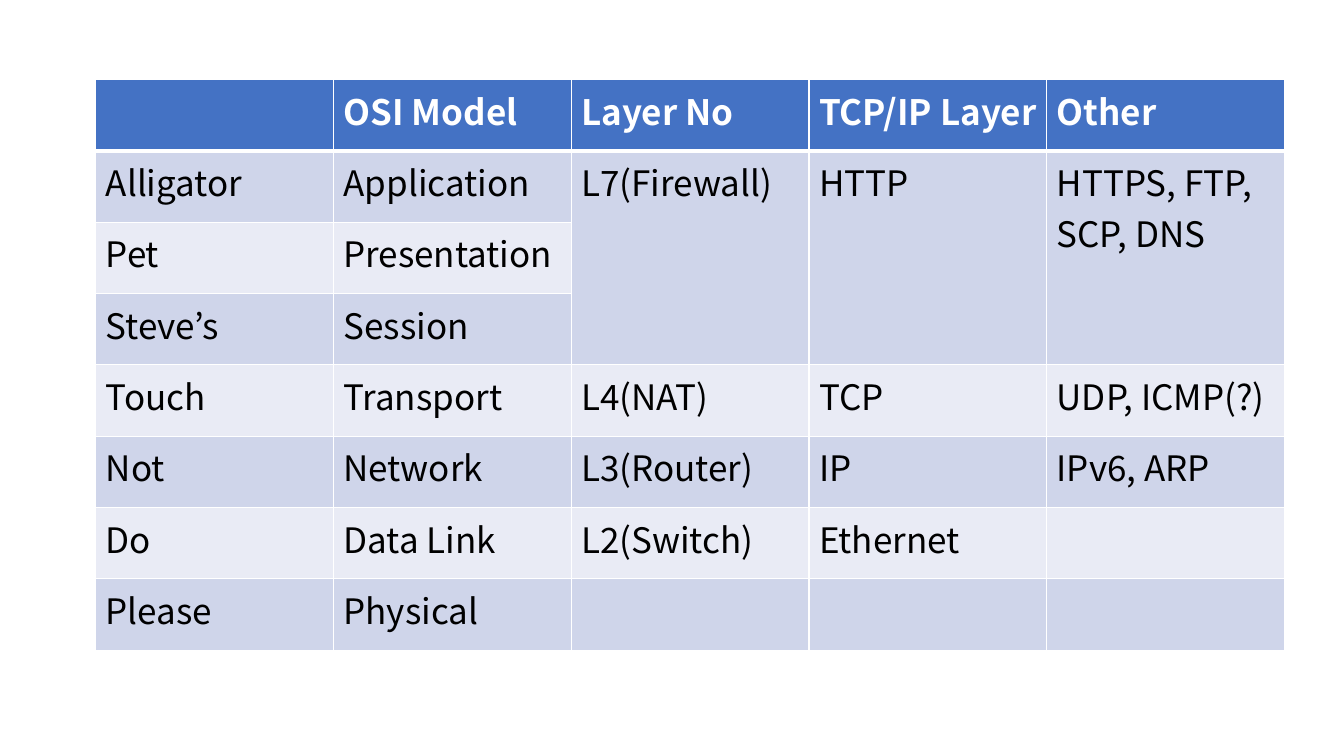
import lxml.etree
import pptx
import pptx.dml.color
import pptx.oxml.ns
import pptx.util

COLORS = {
    "header": "4472C4",
    "odd": "CFD5EA",
    "even": "E9EBF5",
    "white": "FFFFFF",
    "black": "000000",
}
HEADER = ["", "OSI Model", "Layer No", "TCP/IP Layer", "Other"]
LAYERS = [
    ["Alligator", "Application", "L7(Firewall)", "HTTP", "HTTPS, FTP, SCP, DNS"],
    ["Pet", "Presentation", "", "", ""],
    ["Steve’s", "Session", "", "", ""],
    ["Touch", "Transport", "L4(NAT)", "TCP", "UDP, ICMP(?)"],
    ["Not", "Network", "L3(Router)", "IP", "IPv6, ARP"],
    ["Do", "Data Link", "L2(Switch)", "Ethernet", ""],
    ["Please", "Physical", "", "", ""],
]


class SlideBuilder:
    """Draws styled elements on the current slide."""

    def __init__(self, slide, font="Noto Sans CJK KR", size=25):
        self.slide = slide
        self.font = font
        self.size = size

    def add_text(self, cell, text, color, bold):
        run = cell.text_frame.paragraphs[0].add_run()
        run.text = text
        run.font.name = self.font
        run.font.size = pptx.util.Pt(self.size)
        run.font.bold = bold
        run.font.color.rgb = pptx.dml.color.RGBColor.from_string(COLORS[color])

    def add_border(self, cell, side, width):
        properties = cell._tc.get_or_add_tcPr()
        line = lxml.etree.SubElement(properties, pptx.oxml.ns.qn(f"a:ln{side}"))
        line.set("w", str(pptx.util.Pt(width)))
        fill = lxml.etree.SubElement(line, pptx.oxml.ns.qn("a:solidFill"))
        color = lxml.etree.SubElement(fill, pptx.oxml.ns.qn("a:srgbClr"))
        color.set("val", COLORS["white"])

    def style_cell(self, cell, fill, top, bottom):
        for side, width in (("L", 1), ("R", 1), ("T", top), ("B", bottom)):
            self.add_border(cell, side, width)
        cell.fill.solid()
        cell.fill.fore_color.rgb = pptx.dml.color.RGBColor.from_string(COLORS[fill])

    def add_table(self, rows, left, top, width, height):
        frame = self.slide.shapes.add_table(
            len(rows), len(rows[0]), *map(pptx.util.Inches, (left, top, width, height))
        )
        table = frame.table
        for row_index, row in enumerate(rows):
            is_header = row_index == 0
            fill = "header" if is_header else "odd" if row_index % 2 else "even"
            for column_index, text in enumerate(row):
                cell = table.cell(row_index, column_index)
                self.style_cell(
                    cell, fill, 3 if row_index == 1 else 1, 3 if is_header else 1
                )
                if text:
                    self.add_text(
                        cell, text, "white" if is_header else "black", is_header
                    )
        return table


def main():
    presentation = pptx.Presentation()
    presentation.slide_width = pptx.util.Inches(13.33)
    presentation.slide_height = pptx.util.Inches(7.5)
    slide = presentation.slides.add_slide(presentation.slide_layouts[6])
    builder = SlideBuilder(slide)
    table = builder.add_table([HEADER] + LAYERS, 0.95, 0.79, 11.79, 5.66)
    for column in range(2, len(HEADER)):
        table.cell(1, column).merge(table.cell(3, column))
    presentation.save("out.pptx")


if __name__ == "__main__":
    main()
